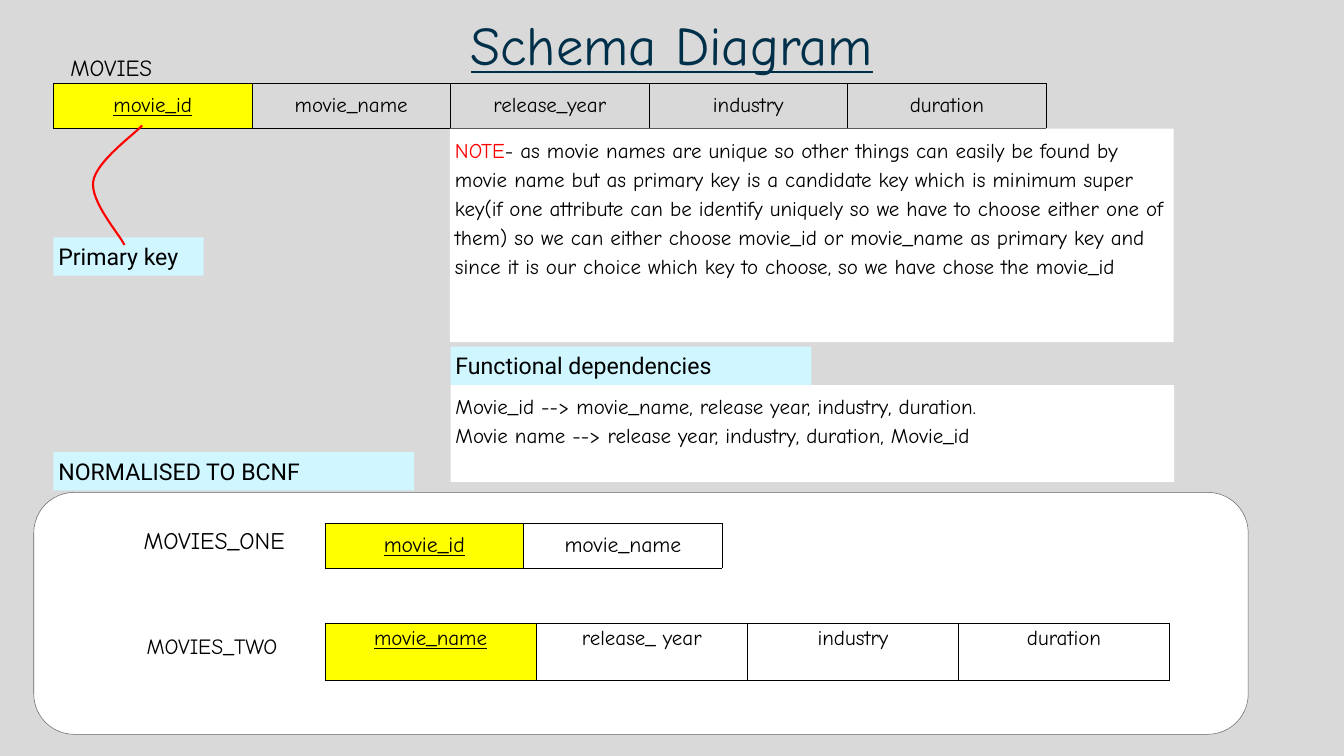
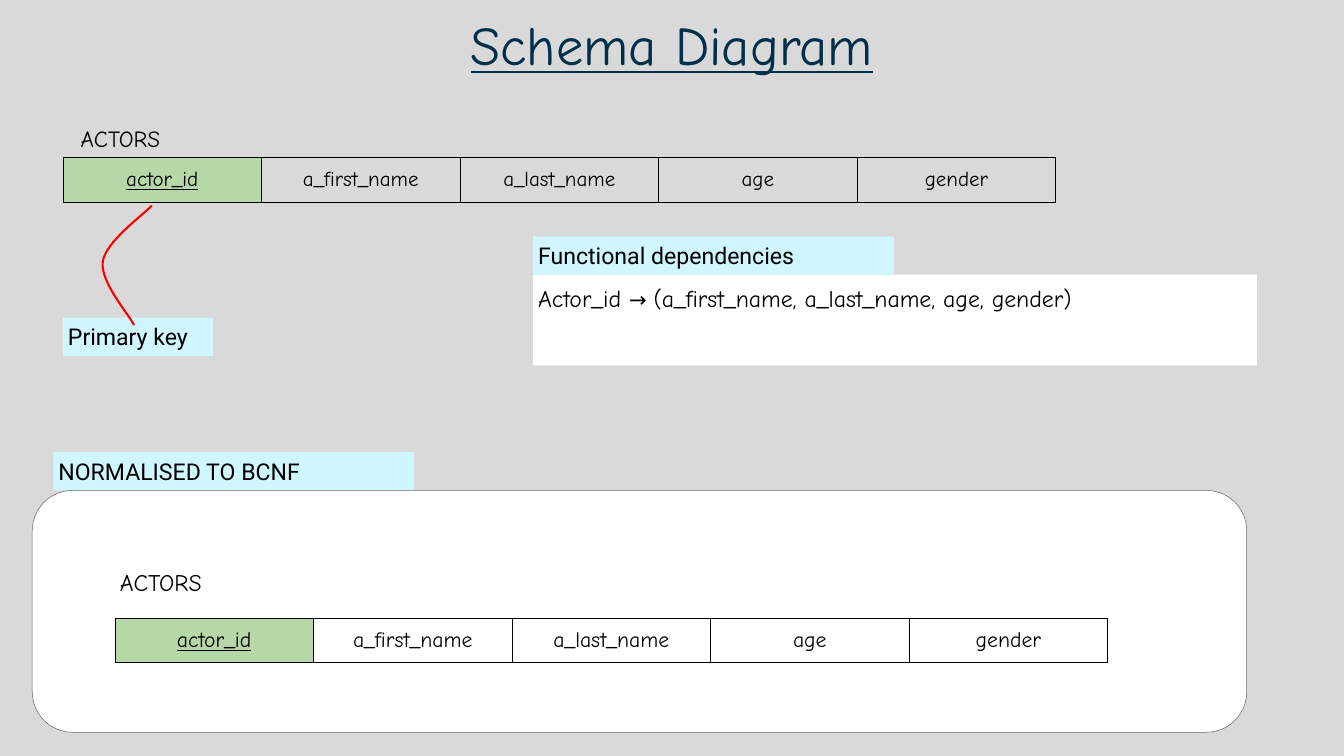
from dataclasses import dataclass
from typing import NamedTuple

from lxml.etree import SubElement
from pptx import Presentation
from pptx.dml.color import RGBColor
from pptx.enum.shapes import MSO_SHAPE as Shape
from pptx.enum.text import MSO_ANCHOR as Anchor
from pptx.enum.text import MSO_AUTO_SIZE as AutoSize
from pptx.enum.text import PP_ALIGN as Align
from pptx.oxml.ns import qn
from pptx.util import Inches, Pt

HAND, PLAIN = "Comic Neue", "Roboto"
GREY, WHITE, BLACK, NAVY = "D9D9D9", "FFFFFF", "000000", "002F4A"
YELLOW, GREEN, CYAN = "FFFF00", "B6D7A8", "D0F6FF"
RED, OUTLINE = "FF0000", "666666"

# Start point, then two Bézier segments, measured from the primary key tag.
KEY_CURVE = [(1.41, 0.15),
             (1.31, -0.06), (0.73, -0.71), (0.79, -1.11),
             (0.85, -1.51), (1.60, -2.04), (1.76, -2.22)]


class Run(NamedTuple):
    text: str
    size: float
    color: str = BLACK
    font: str = HAND
    underline: bool = False


@dataclass
class Box:
    left: float
    top: float
    width: float
    height: float
    paragraphs: list[list[Run]]
    fill: str | None = None
    spacing: float | None = 1.15
    inset: float = 0.1
    align: Align = Align.LEFT
    grow: bool = True


@dataclass
class Relation:
    """A one-row table of attributes whose first one is the key."""
    left: float
    top: float
    attributes: list[str]
    key_fill: str
    size: float = 30
    col_width: float = 3.94
    height: float = 0.88
    anchor: Anchor = Anchor.MIDDLE


def rgb(color: str) -> RGBColor:
    return RGBColor.from_string(color)


def paint(target, color: str | None) -> None:
    if color is None:
        target.fill.background()
    else:
        target.fill.solid()
        target.fill.fore_color.rgb = rgb(color)


def set_insets(target, inset: float) -> None:
    for side in ("left", "top", "right", "bottom"):
        setattr(target, f"margin_{side}", Inches(inset))


def add_run(p, run: Run) -> None:
    r = p.add_run()
    r.text = run.text
    r.font.name = run.font
    r.font.size = Pt(run.size)
    r.font.underline = run.underline
    r.font.color.rgb = rgb(run.color)


def add_box(s, box: Box) -> None:
    bounds = [Inches(v) for v in (box.left, box.top, box.width, box.height)]
    if box.fill is None:
        sp = s.shapes.add_textbox(*bounds)
    else:
        sp = s.shapes.add_shape(Shape.RECTANGLE, *bounds)
        sp.shadow.inherit = False
        sp.line.fill.background()
        paint(sp, box.fill)
    tf = sp.text_frame
    tf.word_wrap = True
    tf.auto_size = AutoSize.SHAPE_TO_FIT_TEXT if box.grow else AutoSize.NONE
    tf.vertical_anchor = Anchor.TOP
    set_insets(tf, box.inset)
    for i, runs in enumerate(box.paragraphs):
        p = tf.add_paragraph() if i else tf.paragraphs[0]
        p.alignment = box.align
        if box.spacing:
            p.line_spacing = box.spacing
        for run in runs:
            add_run(p, run)


def add_title(s) -> None:
    title = Run("Schema Diagram", 78, NAVY, underline=True)
    add_box(s, Box(1.33, 0.4, 24, 1.89, [[title]], spacing=0.8, inset=0.06,
                   align=Align.CENTER, grow=False))


def add_tag(s, text: str, left: float, top: float, width: float = 7.16) -> None:
    add_box(s, Box(left, top, width, 0.76, [[Run(text, 33, font=PLAIN)]],
                   CYAN, spacing=None))


def add_name(s, text: str, left: float, top: float, size: float,
             width: float = 2.8, height: float = 1.13,
             fill: str | None = None) -> None:
    add_box(s, Box(left, top, width, height, [[Run(text, size)]], fill))


def add_primary_key(s, left: float, top: float) -> None:
    """Draw the tag and the red curve that leads up to the key attribute."""
    add_tag(s, "Primary key", left, top, 2.98)
    points = [(Inches(left + x), Inches(top + y)) for x, y in KEY_CURVE]
    builder = s.shapes.build_freeform(*points[0])
    builder.add_line_segments(points[1:], close=False)
    sp = builder.convert_to_shape()
    sp.shadow.inherit = False
    paint(sp, None)
    sp.line.color.rgb = rgb(RED)
    sp.line.width = Pt(3)
    outline = next(sp.element.iter(qn("a:path")))
    segments = outline.findall(qn("a:lnTo"))
    for i in range(0, len(segments), 3):
        bezier = SubElement(outline, qn("a:cubicBezTo"))
        for segment in segments[i:i + 3]:
            bezier.append(segment[0])
            outline.remove(segment)


def add_panel(s, left: float, top: float) -> None:
    add_tag(s, "NORMALISED TO BCNF", 1.06, 8.97)
    sp = s.shapes.add_shape(Shape.ROUNDED_RECTANGLE, Inches(left), Inches(top),
                            Inches(24.1), Inches(4.8))
    sp.adjustments[0] = 0.167
    sp.shadow.inherit = False
    paint(sp, WHITE)
    sp.line.color.rgb = rgb(OUTLINE)
    sp.line.width = Pt(0.75)


def add_borders(cell) -> None:
    props = cell._tc.get_or_add_tcPr()
    for side in ("lnL", "lnR", "lnT", "lnB"):
        ln = SubElement(props, qn(f"a:{side}"), w=str(Pt(1)))
        fill = SubElement(ln, qn("a:solidFill"))
        SubElement(fill, qn("a:srgbClr"), val=BLACK)


def add_relation(s, rel: Relation) -> None:
    count = len(rel.attributes)
    table = s.shapes.add_table(1, count, Inches(rel.left), Inches(rel.top),
                               Inches(rel.col_width * count),
                               Inches(rel.height)).table
    table.first_row = table.horz_banding = False
    for i, attribute in enumerate(rel.attributes):
        table.columns[i].width = Inches(rel.col_width)
        cell = table.cell(0, i)
        add_borders(cell)
        paint(cell, None if i else rel.key_fill)
        set_insets(cell, 0.07)
        cell.vertical_anchor = rel.anchor
        p = cell.text_frame.paragraphs[0]
        p.alignment = Align.CENTER
        add_run(p, Run(attribute, rel.size, underline=i == 0))


def add_dependencies(s, left: float, top: float, height: float,
                     paragraphs: list[list[Run]]) -> None:
    add_box(s, Box(left, top + 0.76, 14.36, height, paragraphs, WHITE))
    add_tag(s, "Functional dependencies", left, top)


def new_slide(prs):
    s = prs.slides.add_slide(prs.slide_layouts[6])
    paint(s.background, GREY)
    add_title(s)
    return s


def build_movies(prs) -> None:
    s = new_slide(prs)
    details = ["industry", "duration"]
    add_relation(s, Relation(
        1.06, 1.66, ["movie_id", "movie_name", "release_year", *details], YELLOW))
    add_name(s, "MOVIES", 1.3, 0.87, 33)
    add_dependencies(s, 8.94, 6.88, 1.92, [
        [Run("Movie_id --> movie_name, release year, industry, duration.", 30)],
        [Run("Movie name --> release year, industry, duration, Movie_id", 30)],
    ])
    add_primary_key(s, 1.06, 4.71)
    add_panel(s, 0.67, 9.77)
    add_relation(s, Relation(6.45, 10.39, ["movie_id", "movie_name"], YELLOW, 31))
    add_name(s, "MOVIES_TWO", 2.81, 12.37, 31, 17.74, 0.72)
    add_name(s, "MOVIES_ONE", 2.75, 10.25, 34, 3.69, 1.16, WHITE)
    add_relation(s, Relation(
        6.45, 12.37, ["movie_name", "release_ year", *details], YELLOW,
        col_width=4.19, height=1.13, anchor=Anchor.TOP))
    note = ("- as movie names are unique so other things can easily be found by "
            "movie name but as primary key is a candidate key which is minimum "
            "super key(if one attribute can be identify uniquely so we have to "
            "choose either one of them) so we can either choose movie_id or "
            "movie_name as primary key and since it is our choice which key to "
            "choose, so we have chose the movie_id")
    add_box(s, Box(8.93, 2.55, 14.36, 4.24,
                   [[Run("NOTE", 30, RED), Run(note, 30)]], WHITE))


def build_actors(prs) -> None:
    s = new_slide(prs)
    attributes = ["actor_id", "a_first_name", "a_last_name", "age", "gender"]
    add_dependencies(s, 10.58, 4.69, 1.8, [
        [Run("Actor_id ", 34), Run("→ ", 30),
         Run("(a_first_name, a_last_name, age, gender)", 34)],
    ])
    add_primary_key(s, 1.25, 6.3)
    add_panel(s, 0.64, 9.73)
    add_relation(s, Relation(1.25, 3.13, attributes, GREEN))
    add_name(s, "ACTORS", 1.5, 2.28, 33)
    add_relation(s, Relation(2.28, 12.27, attributes, GREEN, 31))
    add_name(s, "ACTORS", 2.28, 11.07, 34, height=1.16)


def main() -> None:
    prs = Presentation()
    prs.slide_width = Inches(26.67)
    prs.slide_height = Inches(15)
    build_movies(prs)
    build_actors(prs)
    prs.save("out.pptx")


if __name__ == "__main__":
    main()
